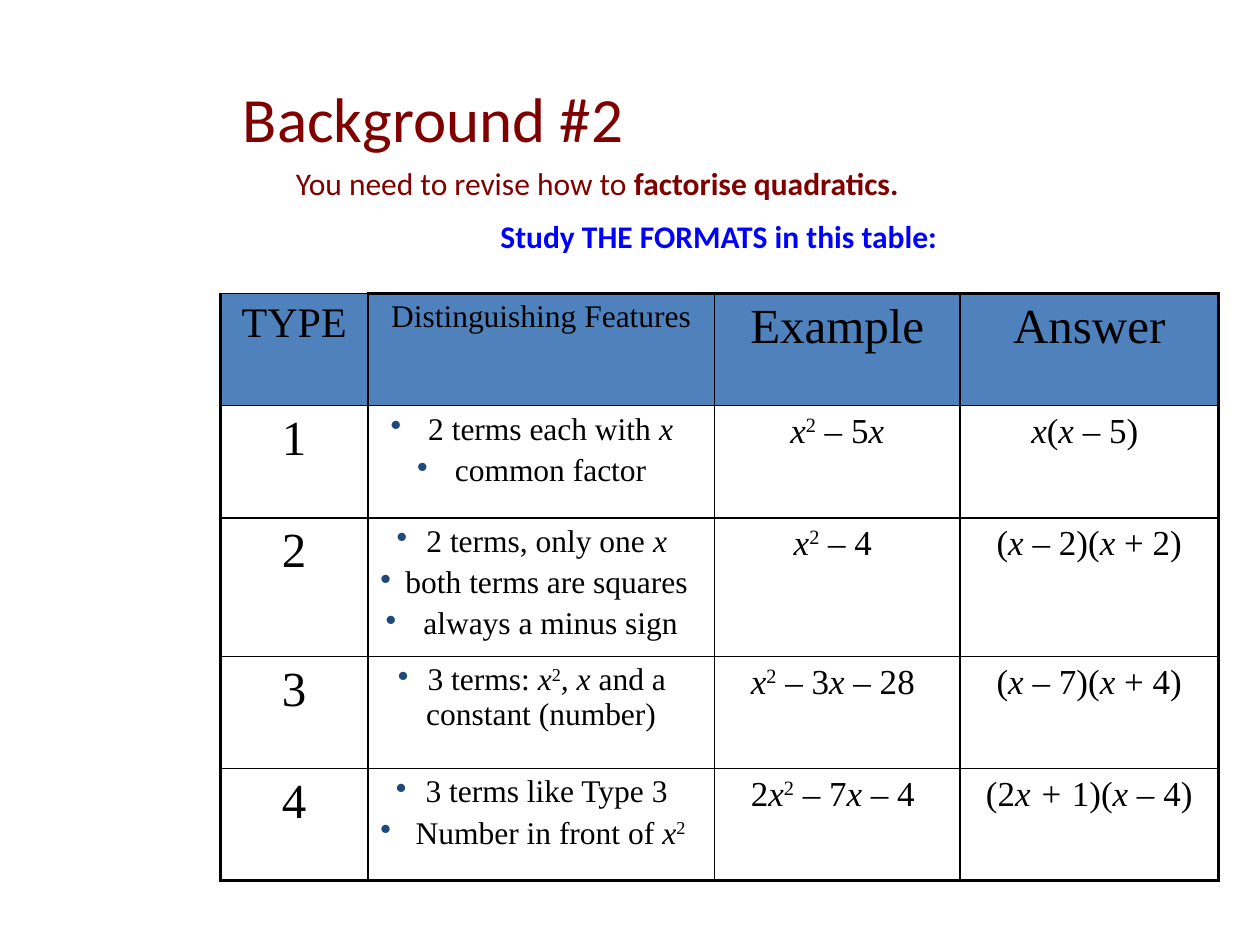
"""Build a slide on the formats for factorising quadratics."""
from lxml.etree import SubElement as Sub
from pptx import Presentation
from pptx.dml.color import RGBColor
from pptx.enum.text import PP_ALIGN as Align
from pptx.oxml.ns import qn
from pptx.util import Inches, Pt

MAROON = RGBColor(0x80, 0x00, 0x00)
BLUE = RGBColor(0x00, 0x00, 0xFF)
STEEL = RGBColor(0x4F, 0x81, 0xBD)
NAVY = RGBColor(0x1F, 0x49, 0x7D)
BLACK = RGBColor(0x00, 0x00, 0x00)

WIDTHS = (1.17, 2.75, 1.95, 2.05)
HEAD = ("TYPE", "Distinguishing Features", "Example", "Answer")
HEAD_SIZES = (24, 18, 28, 28)
BODY_SIZES = (28, 18, 20, 20)
ROWS = (
    ("1", (" 2 terms each with *x*", " common factor"),
     "*x*^2^ – 5*x*", "*x*(*x* – 5) "),
    ("2", ("2 terms, only one *x*", " both terms are squares ",
           " always a minus sign"),
     "*x*^2^ – 4 ", "(*x* – 2)(*x* + 2)"),
    ("3", ("3 terms: *x*^2^*, x *and a constant (number)",),
     "*x*^2^ – 3*x* – 28 ", "(*x* – 7)(*x* + 4)"),
    ("4", ("3 terms like Type 3", " Number in front of *x*^2^"),
     "2*x*^2^ – 7*x* – 4 ", "(2*x + *1)(*x – *4)"),
)


class Deck:
    def __init__(self):
        self.prs = Presentation()
        self.prs.slide_width, self.prs.slide_height = Inches(10), Inches(7.5)
        self.slide = self.prs.slides.add_slide(self.prs.slide_layouts[6])
        self.sans, self.serif = "Calibri", "Times New Roman"
        self.thin, self.thick = Pt(1), Pt(2.25)

    def phrase(self, para, text, size, face, color, bold=False):
        font = para.font
        font.size, font.name = Pt(size), face
        font.color.rgb = color
        for i, part in enumerate(text.split("*")):
            for j, bit in enumerate(part.split("^")):
                if not bit:
                    continue
                run = para.add_run()
                run.text = bit
                if i % 2 and bold:
                    run.font.bold = True
                elif i % 2:
                    run.font.italic = True
                if j % 2:
                    run.font._element.set("baseline", "30000")

    def label(self, text, x, y, w, h, size, color, align=Align.LEFT):
        box = self.slide.shapes.add_textbox(
            Inches(x), Inches(y), Inches(w), Inches(h))
        box.text_frame.word_wrap = True
        para = box.text_frame.paragraphs[0]
        para.alignment = align
        self.phrase(para, text, size, self.sans, color, bold=True)

    def bullet(self, para):
        props = para._p.get_or_add_pPr()
        Sub(Sub(props, qn("a:buClr")), qn("a:srgbClr"), val=str(NAVY))
        Sub(props, qn("a:buChar"), char="•")

    def border(self, cell, thick):
        props = cell._tc.get_or_add_tcPr()
        for side in "LRTB":
            width = self.thick if side in thick else self.thin
            line = Sub(props, qn("a:ln" + side), w=str(width))
            Sub(Sub(line, qn("a:solidFill")), qn("a:srgbClr"), val=str(BLACK))

    def fill(self, cell, lines, size):
        frame = cell.text_frame
        listed = not isinstance(lines, str)
        for i, text in enumerate(lines if listed else [lines]):
            para = frame.add_paragraph() if i else frame.paragraphs[0]
            para.alignment = Align.CENTER
            if i:
                para.space_before = Pt(0.2 * size)
            if listed:
                self.bullet(para)
            self.phrase(para, text, size, self.serif, BLACK)

    def table(self, x, y, widths, high, rows):
        count, last = len(rows), len(widths) - 1
        table = self.slide.shapes.add_table(
            count, len(widths), Inches(x), Inches(y),
            Inches(sum(widths)), Inches(high * count)).table
        table.first_row = table.horz_banding = False
        for col, width in zip(table.columns, widths):
            col.width = Inches(width)
        for r, row in enumerate(rows):
            table.rows[r].height = Inches(high)
            sizes = BODY_SIZES if r else HEAD_SIZES
            for c, (lines, size) in enumerate(zip(row, sizes)):
                cell = table.cell(r, c)
                edges = {"L": c == 0, "R": c == last,
                         "T": r == 0 and c > 0, "B": r == count - 1}
                self.border(cell, [side for side in edges if edges[side]])
                if r:
                    cell.fill.background()
                else:
                    cell.fill.solid()
                    cell.fill.fore_color.rgb = STEEL
                self.fill(cell, lines, size)


def main():
    deck = Deck()
    deck.label("Background #2", 1.83, 0.58, 3.58, 0.7, 36, MAROON)
    deck.label("You need to revise how to *factorise quadratics.*",
               2.25, 1.25, 6.83, 0.5, 18, MAROON)
    deck.label("*Study THE FORMATS in this table:*",
               2.33, 1.67, 6.75, 0.5, 18, BLUE, Align.CENTER)
    deck.table(1.75, 2.33, WIDTHS, 0.89, (HEAD, *ROWS))
    deck.prs.save("out.pptx")


if __name__ == "__main__":
    main()
